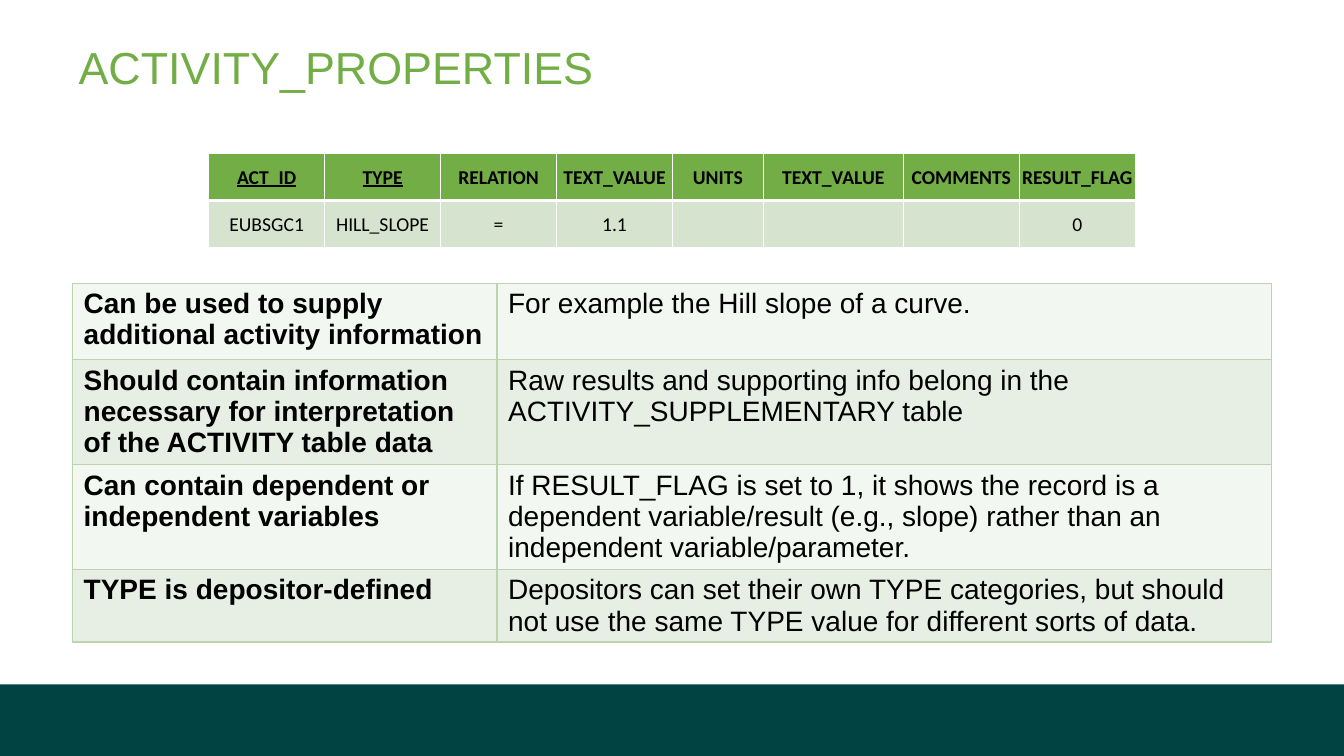
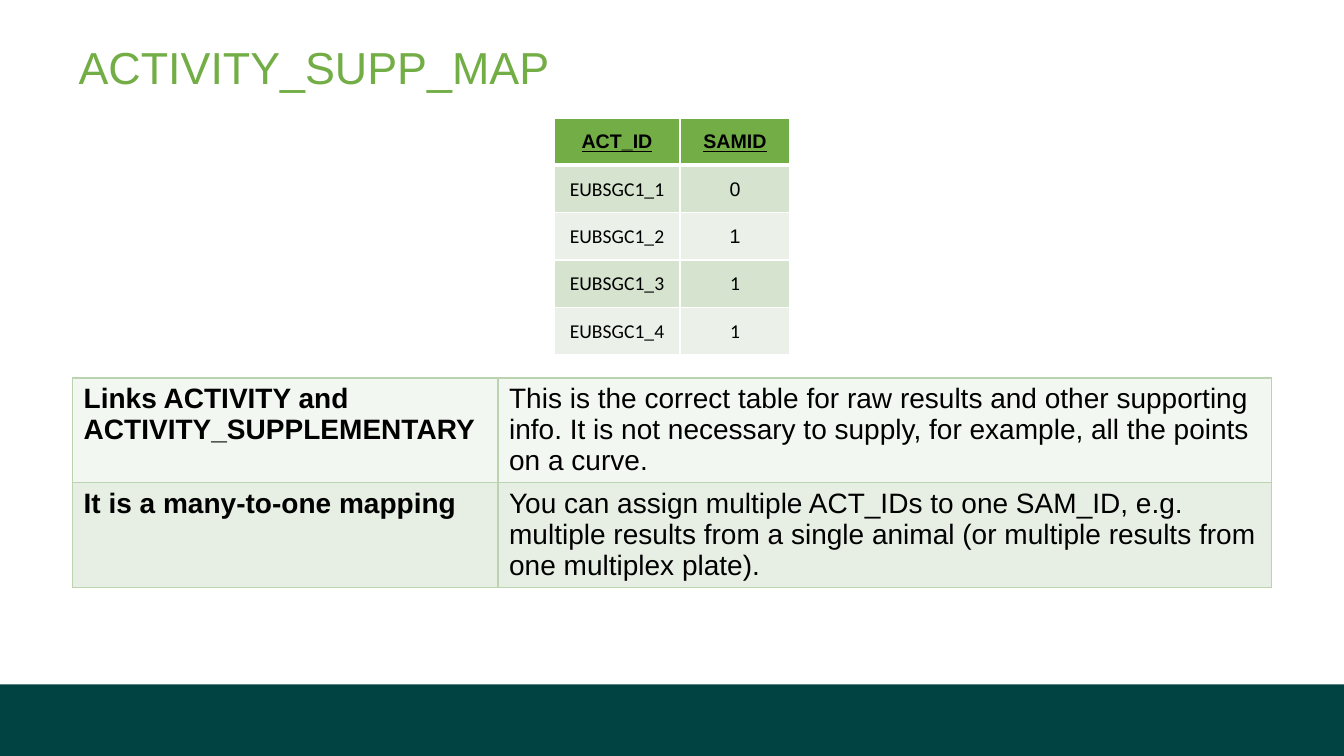
from dataclasses import dataclass

from lxml.etree import SubElement as Sub
from pptx import Presentation
from pptx.dml.color import RGBColor as RGB
from pptx.enum.shapes import MSO_SHAPE as Shape
from pptx.enum.text import MSO_ANCHOR as Anchor, MSO_AUTO_SIZE as Auto, PP_ALIGN as Align
from pptx.oxml.ns import qn
from pptx.util import Inches, Pt


@dataclass(frozen=True)
class Theme:
    green: str = "72AD46"
    band: str = "004342"
    ink: str = "000000"
    white: str = "FFFFFF"
    rule: str = "BCD3B0"
    data: tuple = ("D5E3CF", "EBF1E9")
    notes: tuple = ("F3F7F2", "E7EFE4")
    sans: str = "Arial"
    grid: str = "Calibri"
    title: int = 32
    body: int = 20
    small: int = 14


theme = Theme()
WIDE, HIGH = 13.33, 7.5


def style(cell, text, fill, edges, margins, anchor, align, color=theme.ink, **font):
    """Format one cell; edges maps a side (L, R, T, B) to its colour and width."""
    props = cell._tc.get_or_add_tcPr()
    for side, (tint, width) in edges.items():
        line = Sub(props, qn(f"a:ln{side}"), w=str(Pt(width)))
        Sub(Sub(line, qn("a:solidFill")), qn("a:srgbClr"), val=tint)
    cell.fill.solid()
    cell.fill.fore_color.rgb = RGB.from_string(fill)
    for side, size in zip(("left", "top", "right", "bottom"), margins):
        setattr(cell, f"margin_{side}", Inches(size))
    cell.vertical_anchor = anchor
    if text:
        par = cell.text_frame.paragraphs[0]
        par.alignment = align
        run = par.add_run()
        run.text = text
        run.font.color.rgb = RGB.from_string(color)
        for key, value in font.items():
            setattr(run.font, key, value)


def grid(slide, left, top, cols, rows):
    """Add a plain table with the given column widths and row heights."""
    box = [Inches(n) for n in (left, top, sum(cols), sum(rows))]
    table = slide.shapes.add_table(len(rows), len(cols), *box).table
    table.first_row = table.horz_banding = False
    for col, width in zip(table.columns, cols):
        col.width = Inches(width)
    for row, height in zip(table.rows, rows):
        row.height = Inches(height)
    return table


pages = [
    {
        "title": "ACTIVITY_PROPERTIES",
        "top": 1.52,
        "cols": [1.15, 1.15, 1.15, 1.15, 0.9, 1.39, 1.15, 1.15],
        "head": theme.grid,
        "keys": 2,
        "data": [
            ["ACT_ID", "TYPE", "RELATION", "TEXT_VALUE", "UNITS", "TEXT_VALUE",
             "COMMENTS", "RESULT_FLAG"],
            ["EUBSGC1", "HILL_SLOPE", "=", "1.1", "", "", "", "0"],
        ],
        "sans": [],
        "low": 2.81,
        "split": 4.21,
        "rows": [0.76, 1.04, 1.04, 0.72],
        "notes": [
            ("Can be used to supply additional activity information",
             "For example the Hill slope of a curve."),
            ("Should contain information necessary for interpretation of the "
             "ACTIVITY table data",
             "Raw results and supporting info belong in the "
             "ACTIVITY_SUPPLEMENTARY table"),
            ("Can contain dependent or independent variables",
             "If RESULT_FLAG is set to 1, it shows the record is a dependent "
             "variable/result (e.g., slope) rather than an independent "
             "variable/parameter."),
            ("TYPE is depositor-defined",
             "Depositors can set their own TYPE categories, but should not use "
             "the same TYPE value for different sorts of data."),
        ],
    },
    {
        "title": "ACTIVITY_SUPP_MAP",
        "top": 1.17,
        "cols": [1.25, 1.09],
        "head": theme.sans,
        "keys": 2,
        "data": [["ACT_ID", "SAMID"], ["EUBSGC1_1", "0"], ["EUBSGC1_2", "1"],
                 ["EUBSGC1_3", "1"], ["EUBSGC1_4", "1"]],
        "sans": [(1, 1), (2, 1)],
        "low": 3.75,
        "split": 4.22,
        "rows": [1.04, 1.04],
        "notes": [
            ("Links ACTIVITY and ACTIVITY_SUPPLEMENTARY",
             "This is the correct table for raw results and other supporting "
             "info. It is not necessary to supply, for example, all the points "
             "on a curve."),
            ("It is a many-to-one mapping",
             "You can assign multiple ACT_IDs to one SAM_ID, e.g. multiple "
             "results from a single animal (or multiple results from one "
             "multiplex plate)."),
        ],
    },
]

deck = Presentation()
deck.slide_width, deck.slide_height = Inches(WIDE), Inches(HIGH)
layout = deck.slide_layouts[5]
slides = [deck.slides.add_slide(layout) for page in pages]

# The footer band is drawn once and moved to the shared layout.
band = slides[0].shapes.add_shape(
    Shape.RECTANGLE, 0, Inches(6.79), Inches(WIDE), Inches(0.71))
band.shadow.inherit = False
band.fill.solid()
band.fill.fore_color.rgb = RGB.from_string(theme.band)
band.line.fill.background()
layout.shapes._spTree.insert(2, band._element)

frame = {"margin_left": 0, "margin_top": Inches(0.06), "margin_right": 0,
         "margin_bottom": 0, "vertical_anchor": Anchor.TOP,
         "word_wrap": True, "auto_size": Auto.NONE}
place = {"left": Inches(0.78), "top": Inches(0.33),
         "width": Inches(11.89), "height": Inches(0.83)}

for slide, page in zip(slides, pages):
    title = slide.shapes.title
    title.text = page["title"]
    par = title.text_frame.paragraphs[0]
    par.alignment = Align.LEFT
    par.font.color.rgb = RGB.from_string(theme.green)
    face = {"name": theme.sans, "size": Pt(theme.title)}
    for item, values in ((title, place), (title.text_frame, frame), (par.font, face)):
        for key, value in values.items():
            setattr(item, key, value)

    notes = grid(slide, 0.72, page["low"],
                 [page["split"], 11.89 - page["split"]], page["rows"])
    for r, pair in enumerate(page["notes"]):
        for c, text in enumerate(pair):
            style(notes.cell(r, c), text, theme.notes[r % 2],
                  dict.fromkeys("LRTB", (theme.rule, 1)),
                  (0.11, 0.05, 0.11, 0.05), Anchor.TOP, Align.LEFT,
                  name=theme.sans, size=Pt(theme.body), bold=c == 0)

    cols, data = page["cols"], page["data"]
    sample = grid(slide, (WIDE - sum(cols)) / 2, page["top"], cols, [0.47] * len(data))
    for r, line in enumerate(data):
        head = r == 0
        edges = dict.fromkeys("LRTB", (theme.white, 1))
        if r < 2:
            edges["B" if head else "T"] = (theme.white, 3)
        for c, text in enumerate(line):
            name = theme.sans if (r, c) in page["sans"] else theme.grid
            style(sample.cell(r, c), text,
                  theme.green if head else theme.data[(r - 1) % 2],
                  edges, (0.01, 0.01, 0.01, 0), Anchor.MIDDLE, Align.CENTER,
                  name=page["head"] if head else name, size=Pt(theme.small),
                  bold=head, underline=head and c < page["keys"])

deck.save("out.pptx")
